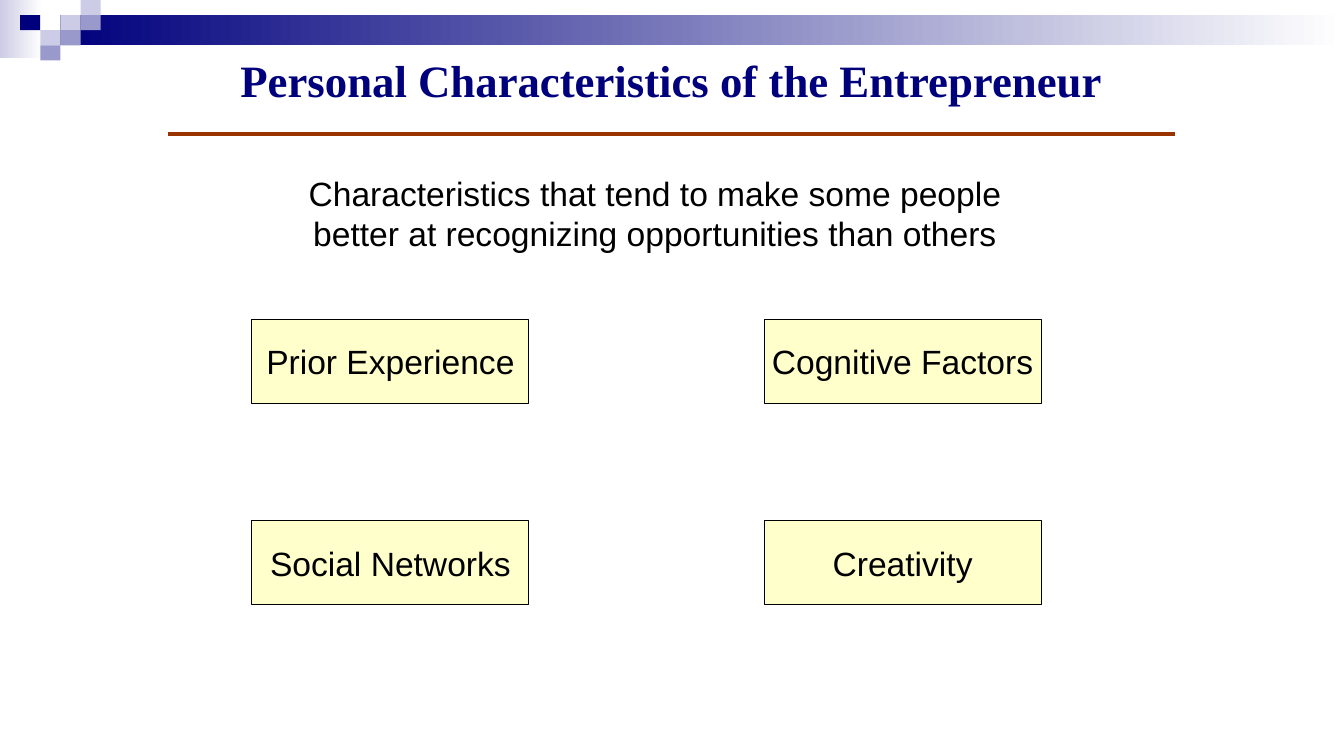
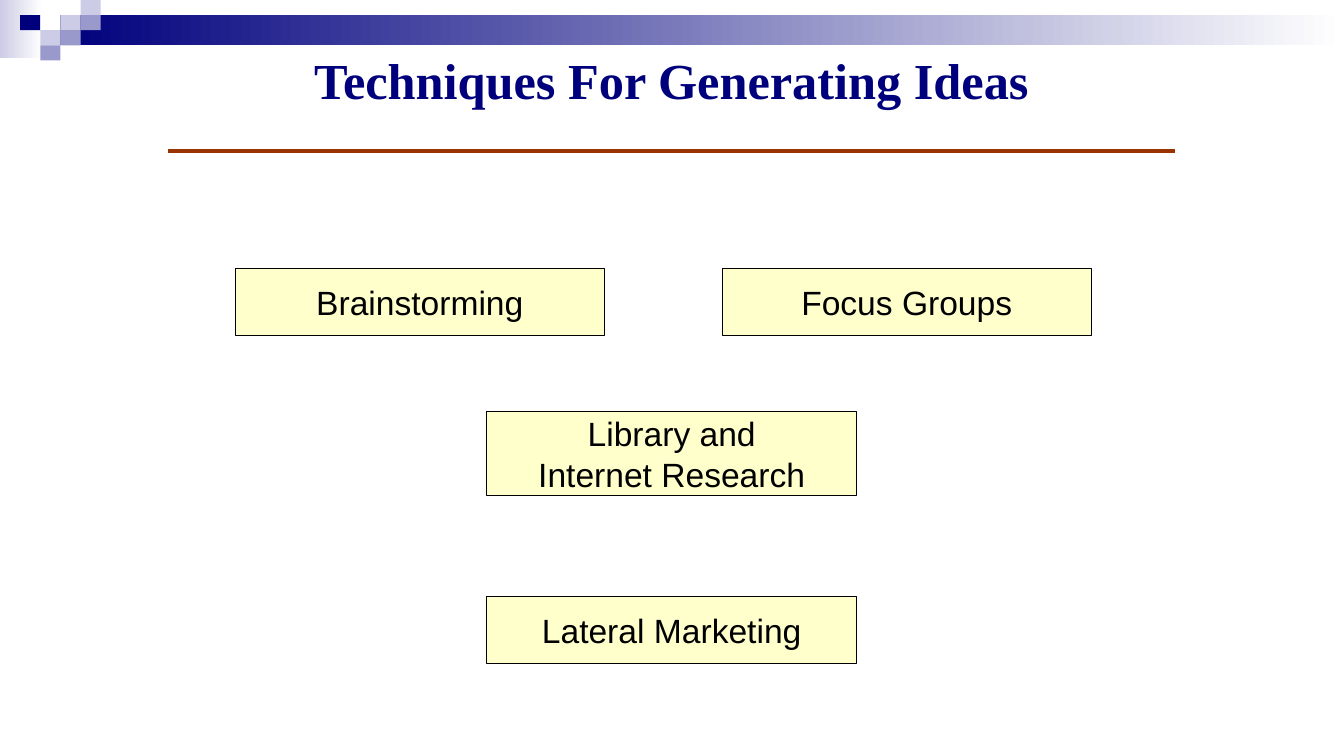
from dataclasses import dataclass

from lxml.etree import SubElement
from pptx import Presentation
from pptx.dml.color import RGBColor
from pptx.enum.shapes import MSO_CONNECTOR, MSO_SHAPE
from pptx.enum.text import MSO_ANCHOR, PP_ALIGN
from pptx.oxml.ns import qn
from pptx.util import Inches, Pt


@dataclass(frozen=True)
class Theme:
    navy: str = "00007D"
    mid: str = "9999CC"
    light: str = "CCCCE6"
    white: str = "FFFFFF"
    rule: str = "993300"
    card: str = "FFFFCC"
    ink: str = "000000"
    title_font: str = "Times New Roman"
    body_font: str = "Arial"
    body_size: int = 24
    rule_width: float = 3
    card_line: float = 0.75


T = Theme()
WIDTH, HEIGHT = 13.34, 7.5
COLS = 160  # page grid: 160 columns of 1/12 inch
CELL_W, CELL_H = 0.2, 0.15  # corner mosaic

# Corner squares: (column, row, colour)
MOSAIC = [
    (3, 1, T.light), (4, 0, T.light), (4, 1, T.mid), (2, 2, T.light),
    (1, 1, T.navy), (3, 2, T.mid), (2, 3, T.mid),
]

# Places and sizes are in grid units; a card is (lines, column, row, height).
SLIDES = [
    {
        "title": "Personal Characteristics of the Entrepreneur",
        "title_size": 32,
        "rule_row": 16,
        "intro": "Characteristics that tend to make some people "
                 "better at recognizing opportunities than others",
        "card_width": 33,
        "cards": [
            (["Prior Experience"], 30, 38, 10),
            (["Cognitive Factors"], 91, 38, 10),
            (["Social Networks"], 30, 62, 10),
            (["Creativity"], 91, 62, 10),
        ],
    },
    {
        "title": "Techniques For Generating Ideas",
        "title_size": 36,
        "rule_row": 18,
        "card_width": 44,
        "cards": [
            (["Brainstorming"], 28, 32, 8),
            (["Focus Groups"], 86, 32, 8),
            (["Library and", "Internet Research"], 58, 49, 10),
            (["Lateral Marketing"], 58, 71, 8),
        ],
    },
]


def rgb(value):
    return RGBColor.from_string(value)


def grid(*units):
    return [Inches(u / 12) for u in units]


def write(sp, lines, size=T.body_size, font=T.body_font, color=T.ink,
          bold=False, anchor=MSO_ANCHOR.MIDDLE, wrap=True):
    tf = sp.text_frame
    tf.word_wrap = wrap
    tf.vertical_anchor = anchor
    for i, line in enumerate(lines):
        p = tf.add_paragraph() if i else tf.paragraphs[0]
        p.alignment = PP_ALIGN.CENTER
        r = p.add_run()
        r.text = line
        r.font.size, r.font.name, r.font.bold = Pt(size), font, bold
        r.font.color.rgb = rgb(color)


def add_rect(shapes, box, *colors):
    """Add an unlined rectangle; two colours make a left-to-right gradient."""
    sp = shapes.add_shape(MSO_SHAPE.RECTANGLE, *box)
    sp.shadow.inherit = False
    sp.line.fill.background()
    if len(colors) == 1:
        sp.fill.solid()
        sp.fill.fore_color.rgb = rgb(colors[0])
    else:
        sp.fill.gradient()
        sp.fill.gradient_angle = 0
        for stop, color in zip(sp.fill.gradient_stops, colors):
            stop.color.rgb = rgb(color)
    return sp


def add_band(s):
    shapes = s.shapes.add_group_shape().shapes
    left = 3 * CELL_W
    add_rect(shapes, map(Inches, (0, 0, 0.42, 0.58)), T.light, T.white)
    add_rect(shapes, map(Inches, (left, CELL_H, WIDTH - left, 2 * CELL_H)),
             T.navy, T.white)
    for col, row, color in MOSAIC:
        box = col * CELL_W, row * CELL_H, CELL_W, CELL_H
        add_rect(shapes, map(Inches, box), color)


def add_title(s, text, size, rule_row):
    width = 114
    sp = s.shapes.add_textbox(*grid((COLS - width) / 2, 2, width, 15))
    write(sp, [text], size, T.title_font, T.navy, bold=True)
    margin = 20
    rule = s.shapes.add_connector(
        MSO_CONNECTOR.STRAIGHT,
        *grid(margin, rule_row, COLS - margin, rule_row))
    rule.line.color.rgb = rgb(T.rule)
    rule.line.width = Pt(T.rule_width)
    SubElement(rule._element.spPr, qn("a:effectLst"))


def add_intro(s, text):
    sp = s.shapes.add_textbox(*grid(33, 20, 90, 11))
    write(sp, [text], anchor=MSO_ANCHOR.TOP)


def add_card(s, lines, col, row, width, height):
    sp = add_rect(s.shapes, grid(col, row, width, height), T.card)
    sp.line.color.rgb = rgb(T.ink)
    sp.line.width = Pt(T.card_line)
    write(sp, lines, wrap=False)


def main():
    prs = Presentation()
    prs.slide_width, prs.slide_height = Inches(WIDTH), Inches(HEIGHT)
    for content in SLIDES:
        s = prs.slides.add_slide(prs.slide_layouts[6])
        add_band(s)
        add_title(s, content["title"], content["title_size"],
                  content["rule_row"])
        if "intro" in content:
            add_intro(s, content["intro"])
        for lines, col, row, height in content["cards"]:
            add_card(s, lines, col, row, content["card_width"], height)
    prs.save("out.pptx")


if __name__ == "__main__":
    main()
